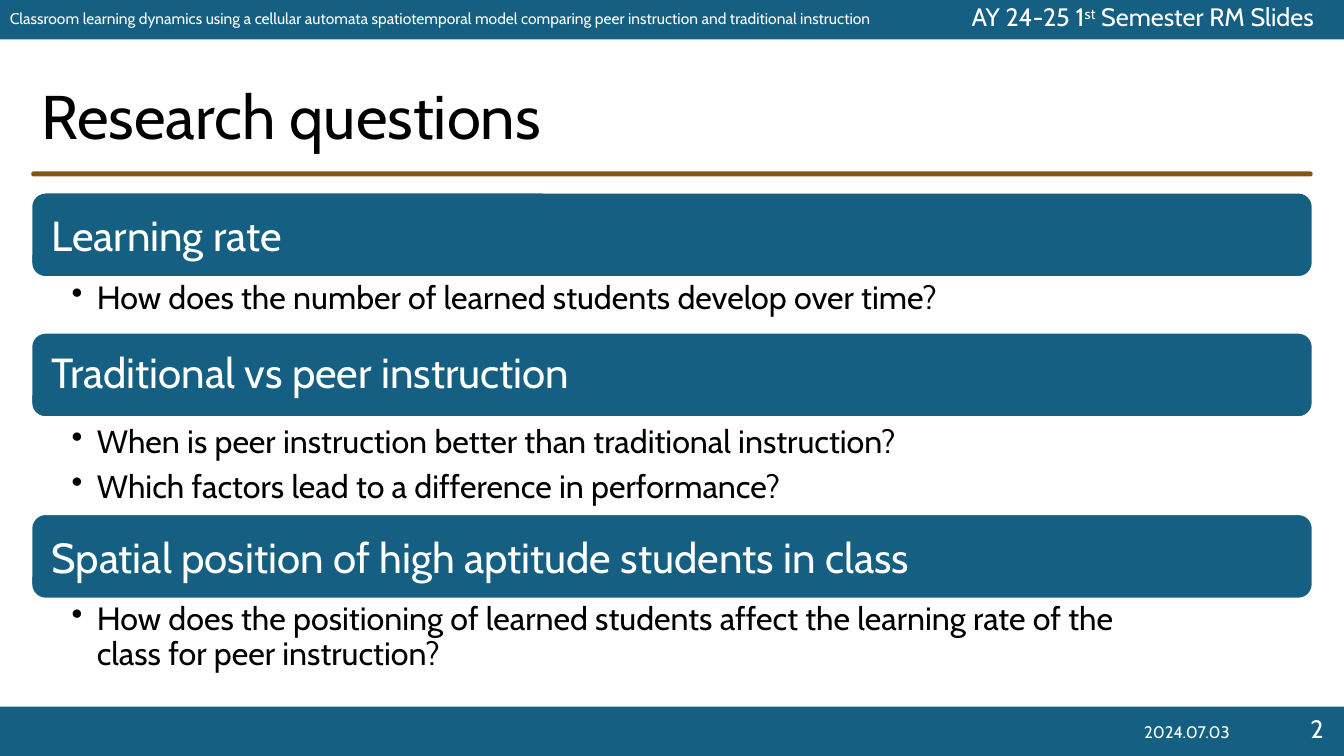
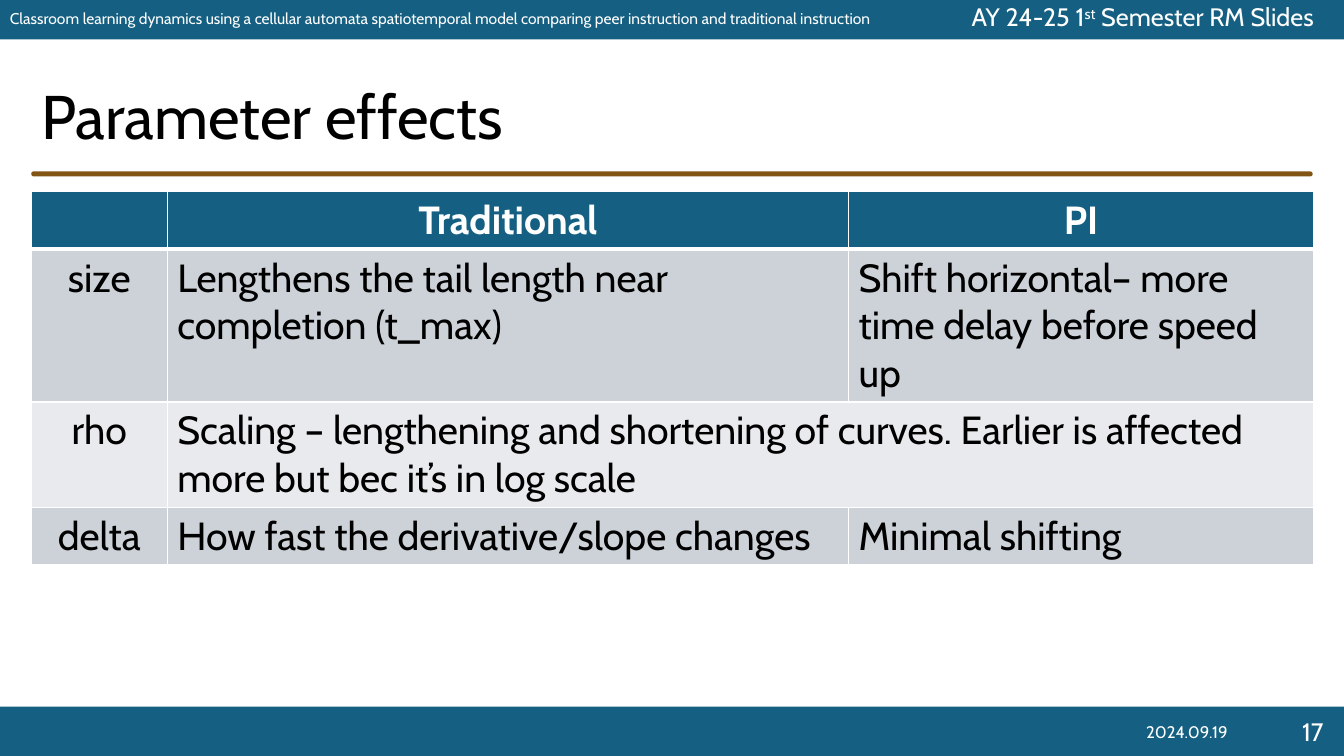
"""Build two research slides: the research questions and a table of parameter effects."""
from lxml import etree
from pptx import Presentation
from pptx import util as u
from pptx.dml.color import RGBColor
from pptx.enum import shapes, text
from pptx.oxml.ns import qn

COLORS = {"blue": "156082", "brown": "825515", "white": "FFFFFF", "black": "000000",
          "dark_row": "CCD2D8", "light_row": "E8EAED"}
RGB = {name: RGBColor.from_string(value) for name, value in COLORS.items()}
LEFT, CENTER, RIGHT = text.PP_ALIGN.LEFT, text.PP_ALIGN.CENTER, text.PP_ALIGN.RIGHT
TOP, MIDDLE = text.MSO_ANCHOR.TOP, text.MSO_ANCHOR.MIDDLE
RECT, ROUNDED = shapes.MSO_SHAPE.RECTANGLE, shapes.MSO_SHAPE.ROUNDED_RECTANGLE

deck = Presentation()
deck.slide_width, deck.slide_height = u.Inches(13.333), u.Inches(7.5)
COL, ROW = deck.slide_width / 40, deck.slide_height / 30
MARGIN = 0.93
CONTENT = 40 - 2 * MARGIN


def grid(left, top, width, height):
    """Turn grid columns and rows into slide lengths."""
    return [round(n * unit) for n, unit in zip((left, top, width, height), (COL, ROW, COL, ROW))]


def write(frame, lines, size, color="white", bold=False, bullet=False, frame_format=None, **para_format):
    """Fill a text frame; a line is a string or a list of spans whose second is raised."""
    frame_values = {"word_wrap": True, "auto_size": text.MSO_AUTO_SIZE.NONE} | (frame_format or {})
    for key, value in frame_values.items():
        setattr(frame, key, value)
    for i, line in enumerate(lines):
        para = frame.add_paragraph() if i else frame.paragraphs[0]
        if isinstance(line, str):
            para.text = line
        else:
            for part in line:
                para.add_run().text = part
            para.runs[1]._r.get_or_add_rPr().set("baseline", "30000")
        if bullet:
            props = para._p.get_or_add_pPr()
            props.set("marL", str(u.Inches(0.25)))
            props.set("indent", str(-u.Inches(0.25)))
            etree.SubElement(props, qn("a:buChar")).set("char", "•")
        for key, value in ({"alignment": LEFT} | para_format).items():
            setattr(para, key, value)
        for span in para.runs:
            for key, value in {"name": "Cabin", "size": u.Pt(size), "bold": bold}.items():
                setattr(span.font, key, value)
            span.font.color.rgb = RGB[color]


BANDS = [
    (RECT, "blue", (0, 28.04, 40, 1.96)),
    (RECT, "blue", (0, 0, 40, 1.56)),
    (ROUNDED, "brown", (MARGIN, 6.8, CONTENT, 0.2)),
]
COURSE = ["AY 24-25 1", "st", " Semester RM Slides"]
TOPIC = ("Classroom learning dynamics using a cellular automata spatiotemporal model "
         "comparing peer instruction and traditional instruction")
pages = []
for title, number, date in [("Research questions", "2", "2024.07.03"),
                            ("Parameter effects", "17", "2024.09.19")]:
    page = deck.slides.add_slide(deck.slide_layouts[5])
    pages.append(page)
    for kind, color, place in BANDS:
        band = page.shapes.add_shape(kind, *grid(*place))
        band.shadow.inherit = False
        band.fill.solid()
        band.fill.fore_color.rgb = RGB[color]
        band.line.fill.background()
        if kind == ROUNDED:
            band.adjustments[0] = 0.5
    heading = page.shapes.title
    heading.left, heading.top, heading.width, heading.height = grid(MARGIN, 3.04, 32.76, 3.4)
    write(heading.text_frame, [title], 44, "black",
          frame_format={"vertical_anchor": MIDDLE}, line_spacing=0.9)
    for place, line, size, align, anchor, spacing in [
        ((0, 0, 28.77, 1.56), TOPIC, 11.1, LEFT, MIDDLE, 0.9),
        ((28.02, 0, 11.98, 1.56), COURSE, 18, CENTER, TOP, 0.9),
        ((37.26, 28.24, 2.43, 1.56), number, 18, RIGHT, TOP, 0.9 if number == "2" else 1.0),
        ((33.54, 28.24, 3.57, 1.56), date, 12, CENTER, MIDDLE, 1.0),
    ]:
        box = page.shapes.add_textbox(*grid(*place))
        write(box.text_frame, [line], size, frame_format={"vertical_anchor": anchor},
              alignment=align, line_spacing=spacing)

questions_page, effects_page = pages

QUESTIONS = [
    ("Learning rate", 1.0, 2.2, 0.9,
     ["How does the number of learned students develop over time?"]),
    ("Traditional vs peer instruction", 0.9, 3.84, 1.0,
     ["When is peer instruction better than traditional instruction?",
      "Which factors lead to a difference in performance?"]),
    ("Spatial position of high aptitude students in class", 1.0, 3.2, 0.9,
     ["How does the positioning of learned students affect the learning rate of the\n"
      "class for peer instruction?"]),
]
BAR_HEIGHT = 3.36
BAR_FRAME = {"vertical_anchor": MIDDLE, "margin_left": u.Inches(0.16), "margin_right": u.Inches(0.16)}
LIST_FRAME = {"vertical_anchor": TOP, "margin_left": u.Inches(0.4), "margin_right": u.Inches(0.23),
              "margin_top": u.Inches(0.04), "margin_bottom": u.Inches(0.04)}
top = 7.64
for topic, bar_spacing, list_height, list_spacing, questions in QUESTIONS:
    bar = questions_page.shapes.add_shape(ROUNDED, *grid(MARGIN, top, CONTENT, BAR_HEIGHT))
    bar.shadow.inherit = False
    bar.fill.solid()
    bar.fill.fore_color.rgb = RGB["blue"]
    bar.line.color.rgb = RGB["white"]
    bar.line.width = u.Pt(1.5)
    write(bar.text_frame, [topic], 30, frame_format=BAR_FRAME, line_spacing=bar_spacing)
    top += BAR_HEIGHT
    box = questions_page.shapes.add_textbox(*grid(MARGIN, top, CONTENT, list_height))
    write(box.text_frame, questions, 23, "black", bullet=True, frame_format=LIST_FRAME,
          line_spacing=list_spacing, space_after=u.Pt(4.6))
    top += list_height

EFFECTS = [
    ["", "Traditional", "PI"],
    ["size", "Lengthens the tail length near completion (t_max)",
     "Shift horizontal– more time delay before speed up"],
    ["rho", "Scaling – lengthening and shortening of curves. Earlier is affected more "
     "but bec it’s in log scale", ""],
    ["delta", "How fast the derivative/slope changes", "Minimal shifting"],
]
ROW_FILLS = ["blue", "dark_row", "light_row", "dark_row"]
LINES_PER_ROW = [1, 3, 2, 1]
table = effects_page.shapes.add_table(4, 3, *grid(MARGIN, 7.6, CONTENT, 14.68)).table
for column, width in zip(table.columns, (4.05, 20.28, 13.83)):
    column.width = round(width * COL)
for row, count in zip(table.rows, LINES_PER_ROW):
    row.height = round((0.4 + 1.87 * count) * ROW)
for r, cells in enumerate(EFFECTS):
    header = r == 0
    for c, words in enumerate(cells):
        cell = table.cell(r, c)
        props = cell._tc.get_or_add_tcPr()
        for side in ("lnL", "lnR", "lnT", "lnB"):
            heavy = (header and side == "lnB") or (r == 1 and side == "lnT")
            edge = etree.SubElement(props, qn(f"a:{side}"), w=str(u.Pt(3 if heavy else 1)))
            paint = etree.SubElement(edge, qn("a:solidFill"))
            etree.SubElement(paint, qn("a:srgbClr"), val=COLORS["white"])
        cell.fill.solid()
        cell.fill.fore_color.rgb = RGB[ROW_FILLS[r]]
        if words:
            write(cell.text_frame, [words], 28, "white" if header else "black", bold=header,
                  alignment=CENTER if header or c == 0 else LEFT)
table.cell(2, 1).merge(table.cell(2, 2))

deck.save("out.pptx")
